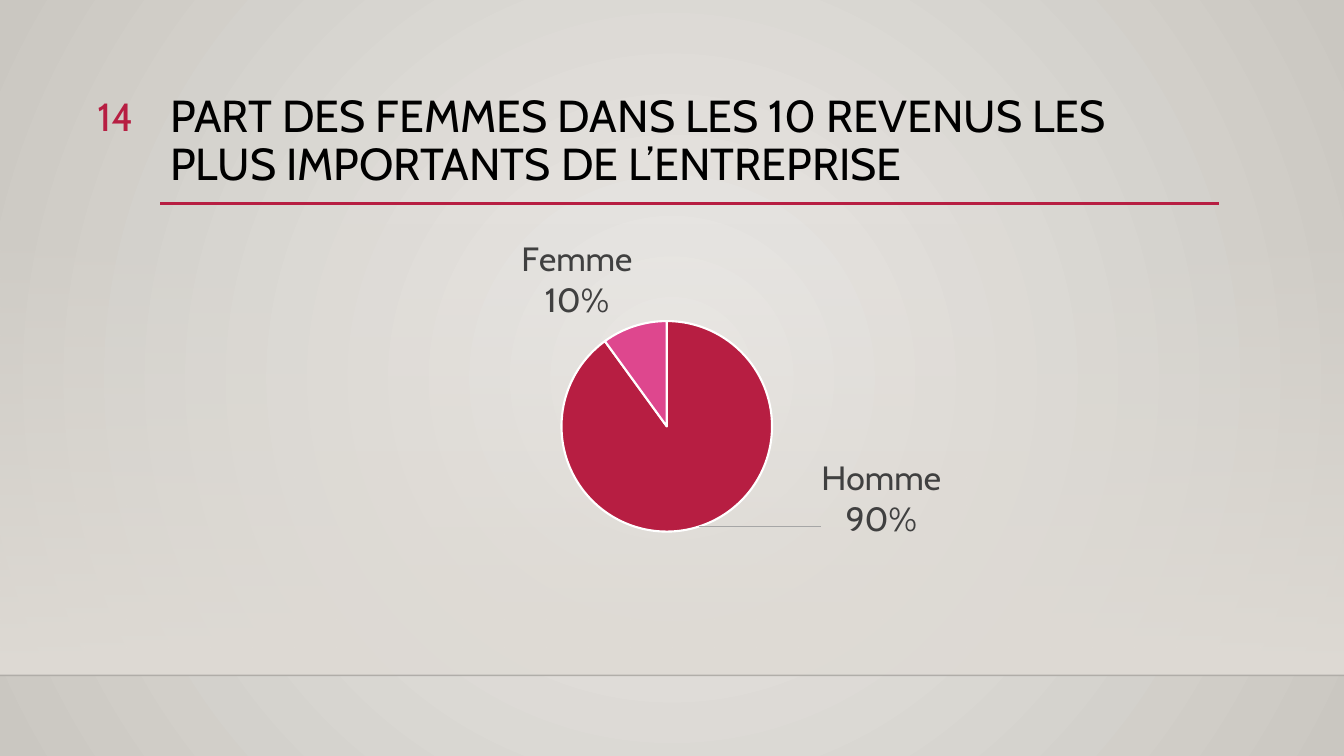
from lxml import etree
from pptx import Presentation
from pptx.chart.data import CategoryChartData
from pptx.dml.color import RGBColor
from pptx.enum.chart import XL_CHART_TYPE, XL_LABEL_POSITION
from pptx.enum.shapes import MSO_CONNECTOR, MSO_SHAPE
from pptx.enum.text import MSO_ANCHOR, MSO_AUTO_SIZE, PP_ALIGN
from pptx.oxml import parse_xml
from pptx.oxml.ns import nsdecls, qn
from pptx.util import Pt

PIE = XL_CHART_TYPE.PIE
OUTSIDE = XL_LABEL_POSITION.OUTSIDE_END
RECT = MSO_SHAPE.RECTANGLE
STRAIGHT = MSO_CONNECTOR.STRAIGHT
TOP = MSO_ANCHOR.TOP
NO_FIT = MSO_AUTO_SIZE.NONE
LEFT, RIGHT = PP_ALIGN.LEFT, PP_ALIGN.RIGHT

THEME = {
    "font": "Cabin",
    "title": 32, "number": 28, "label": 24,
    "black": RGBColor.from_string("000000"),
    "gray": RGBColor.from_string("404040"),
    "red": RGBColor.from_string("B71E42"),
    "pink": RGBColor.from_string("DE478E"),
    "white": RGBColor.from_string("FFFFFF"),
    "glow": RGBColor.from_string("ECEAE7"),
    "edge": RGBColor.from_string("CAC7C1"),
    "band": RGBColor.from_string("DFDBD5"),
}
WIDE, HIGH = 960, 540


def style(font, size, color):
    font.name = THEME["font"]
    font.size = Pt(THEME[size])
    font.color.rgb = THEME[color]


def add_rule(left, right, y, color, width):
    rule = slide.shapes.add_connector(STRAIGHT, Pt(left), Pt(y), Pt(right), Pt(y))
    rule.line.color.rgb = THEME[color]
    rule.line.width = Pt(width)
    etree.SubElement(rule._element.spPr, qn("a:effectLst"))
    return rule


deck = Presentation()
deck.slide_width, deck.slide_height = Pt(WIDE), Pt(HIGH)
slide = deck.slides.add_slide(deck.slide_layouts[5])

# Background: round glow
back = slide.background.fill
back.gradient()
for stop, name in zip(back.gradient_stops, ("glow", "edge")):
    stop.color.rgb = THEME[name]
grad = slide._element.find(".//" + qn("a:gradFill"))
grad.replace(grad.find(qn("a:lin")), parse_xml(
    f'<a:path {nsdecls("a")} path="circle">'
    '<a:fillToRect l="50000" t="50000" r="50000" b="50000"/></a:path>'))

# Band fading in towards the floor line
band = slide.shapes.add_shape(RECT, 0, Pt(159), Pt(WIDE), Pt(323.4))
band.shadow.inherit = False
band.line.fill.background()
band.fill.gradient()
band.fill.gradient_angle = 270
for stop in band.fill.gradient_stops:
    stop.color.rgb = THEME["band"]
clear = band._element.spPr.find(".//" + qn("a:srgbClr"))
etree.SubElement(clear, qn("a:alpha"), val="0")

# Floor line and title rule
floor = add_rule(0, WIDE, 482.4, "black", 1)
tint = floor._element.spPr.find(".//" + qn("a:srgbClr"))
etree.SubElement(tint, qn("a:alpha"), val="20000")
add_rule(114.5, 871, 145.4, "red", 2.5)

# Title
title = slide.shapes.title
title.left, title.top, title.width, title.height = Pt(114.5), Pt(63.4), Pt(756), Pt(82.8)
frame = title.text_frame
frame.text = "PART DES FEMMES DANS LES 10 REVENUS LES PLUS IMPORTANTS DE L’ENTREPRISE"
frame.word_wrap = True
frame.auto_size = NO_FIT
frame.vertical_anchor = TOP
line = frame.paragraphs[0]
line.alignment = LEFT
line.line_spacing = 0.9
style(line.runs[0].font, "title", "black")

# Pie chart
data = CategoryChartData()
data.categories = ["Homme", "Femme"]
data.add_series("Series 1", (90, 10))
chart = slide.shapes.add_chart(
    PIE, Pt(121.7), Pt(158.4), Pt(716.4), Pt(292.3), data).chart
chart.has_legend = False
chart.has_title = False
style(chart.font, "label", "gray")
plot = chart.plots[0]
plot.vary_by_categories = True
series = plot.series[0]
for i, name in enumerate(("red", "pink")):
    slice_fmt = series.points[i].format
    slice_fmt.fill.solid()
    slice_fmt.fill.fore_color.rgb = THEME[name]
    slice_fmt.line.color.rgb = THEME["white"]
    slice_fmt.line.width = Pt(1.5)

# Pie size and place within the chart
area = chart._chartSpace.find(".//" + qn("c:plotArea"))
for old in area.findall(qn("c:layout")):
    area.remove(old)
area.insert(0, parse_xml(
    f'<c:layout {nsdecls("c")}><c:manualLayout><c:layoutTarget val="inner"/>'
    '<c:xMode val="edge"/><c:yMode val="edge"/><c:x val="0.39"/><c:y val="0.24"/>'
    '<c:w val="0.21"/><c:h val="0.52"/></c:manualLayout></c:layout>'))

# Labels: name above share, the first one pulled aside
labels = series.data_labels
first = series.points[0].data_label
for label in (labels, first):
    style(label.font, "label", "gray")
    label.position = OUTSIDE
group = series._element.find(qn("c:dLbls"))
moved = group.find(qn("c:dLbl"))
for part in (group, moved):
    for tag, shown in (("showVal", "0"), ("showCatName", "1"), ("showPercent", "1")):
        part.find(qn("c:" + tag)).set("val", shown)
    split = etree.Element(qn("c:separator"))
    split.text = "\n"
    last = part.find(qn("c:showBubbleSize"))
    if last is None:
        last = part.find(qn("c:showPercent"))
    last.addnext(split)
moved.find(qn("c:idx")).addnext(parse_xml(
    f'<c:layout {nsdecls("c")}><c:manualLayout>'
    '<c:x val="0.12"/><c:y val="-0.18"/></c:manualLayout></c:layout>'))
for old in group.findall(qn("c:showLeaderLines")):
    group.remove(old)
lead = etree.SubElement(group, qn("c:showLeaderLines"), val="1")
lead.addnext(parse_xml(
    f'<c:leaderLines {nsdecls("c", "a")}><c:spPr><a:ln w="9525"><a:solidFill>'
    '<a:srgbClr val="A6A6A6"/></a:solidFill></a:ln></c:spPr></c:leaderLines>'))

# Slide number
box = slide.shapes.add_textbox(Pt(38.2), Pt(62.6), Pt(64), Pt(39.6))
frame = box.text_frame
frame.word_wrap = True
frame.text = "14"
line = frame.paragraphs[0]
line.alignment = RIGHT
style(line.runs[0].font, "number", "red")

deck.save("out.pptx")
